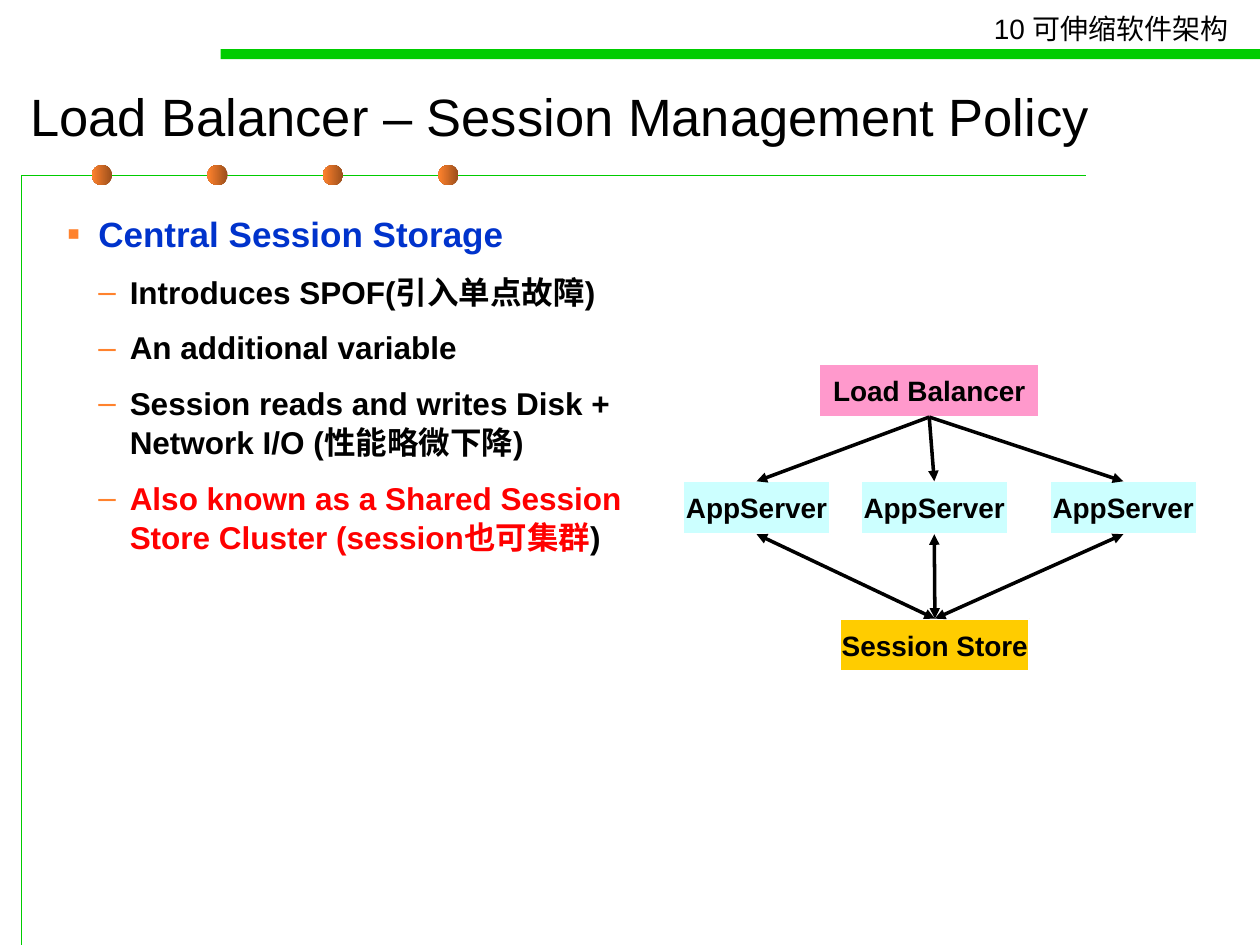
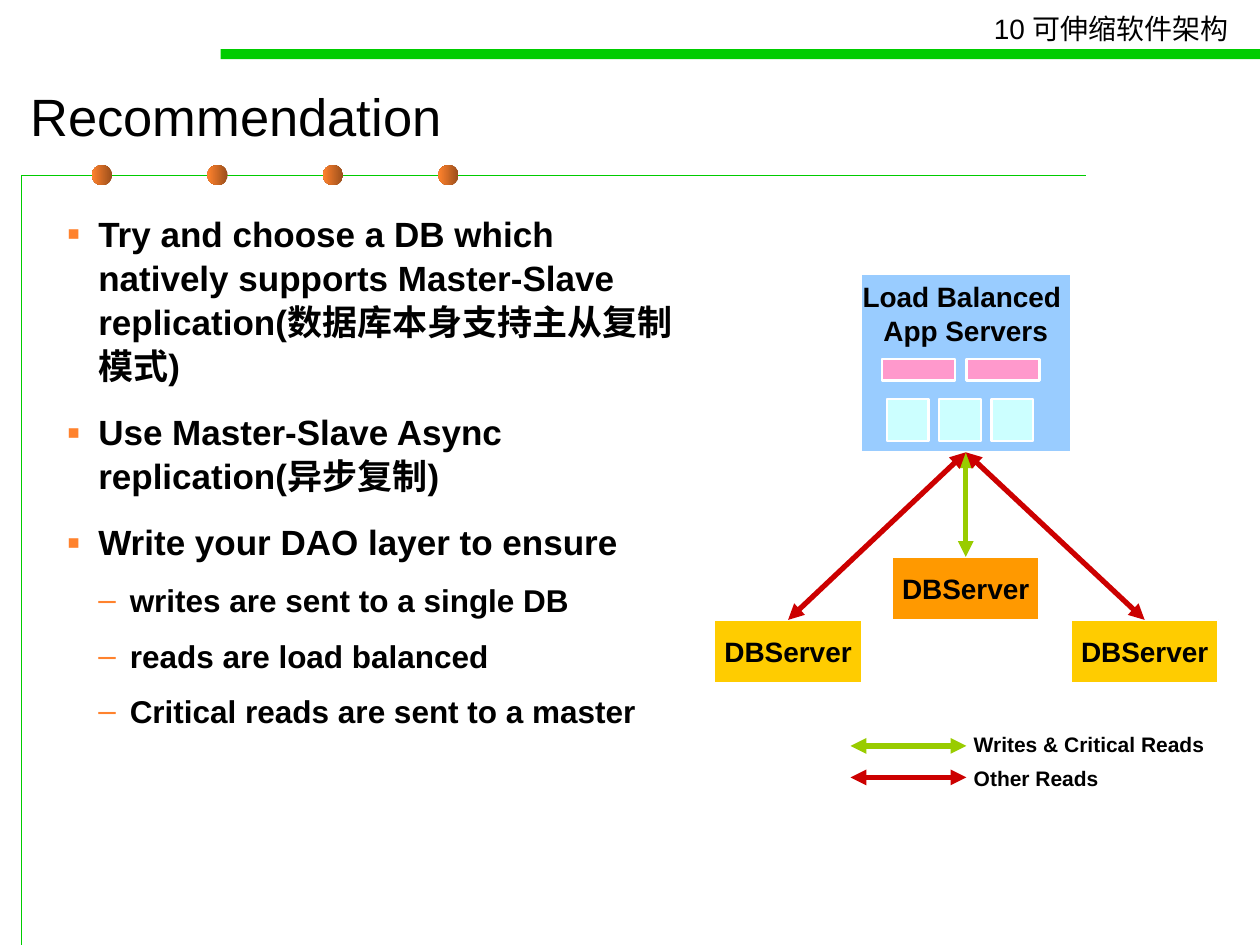
from lxml.etree import SubElement
from pptx import Presentation
from pptx.dml.color import RGBColor
from pptx.enum.shapes import MSO_CONNECTOR, MSO_SHAPE
from pptx.enum.text import MSO_ANCHOR, MSO_AUTO_SIZE, PP_ALIGN
from pptx.oxml.ns import qn
from pptx.util import Inches, Pt

BLACK = RGBColor(0x00, 0x00, 0x00)
WHITE = RGBColor(0xFF, 0xFF, 0xFF)
GREEN = RGBColor(0x00, 0xCC, 0x00)
ORANGE = RGBColor(0xFF, 0x82, 0x2D)
BROWN = RGBColor(0x9A, 0x4E, 0x1B)
BLUE = RGBColor(0x00, 0x33, 0xCC)
RED = RGBColor(0xFF, 0x00, 0x00)
PINK = RGBColor(0xFF, 0x99, 0xCC)
CYAN = RGBColor(0xCC, 0xFF, 0xFF)
SKY = RGBColor(0x99, 0xCC, 0xFF)
YELLOW = RGBColor(0xFF, 0xCC, 0x00)
AMBER = RGBColor(0xFF, 0x99, 0x00)
LIME = RGBColor(0x99, 0xCC, 0x00)
CRIMSON = RGBColor(0xCC, 0x00, 0x00)

TITLE_FONT = {"name": "Arial", "size": Pt(30), "bold": False}
HEADER_FONT = {"name": "Arial", "size": Pt(16), "bold": False}
BOX_FONT = {"name": "Arial", "size": Pt(16), "bold": True}
LEGEND_FONT = {"name": "Arial", "size": Pt(12), "bold": True}
LEVELS = [
    {"font": {"name": "Arial", "size": Pt(20), "bold": True}, "indent": 0.25,
     "bullet": "▪", "bullet_size": "110000",
     "spacing": {"space_before": Pt(8.8), "space_after": Pt(3.7)}},
    {"font": {"name": "Arial", "size": Pt(18), "bold": True}, "indent": 0.5,
     "bullet": "–", "bullet_size": "100000",
     "spacing": {"space_before": Pt(5.6), "space_after": Pt(3.4)}},
]
TOP, BOTTOM = 0, 2


def set_values(target, values):
    for attribute, value in values.items():
        setattr(target, attribute, value)


def place(shape, left, top, width, height):
    set_values(shape, {"left": Inches(left), "top": Inches(top),
                       "width": Inches(width), "height": Inches(height)})


class Deck:
    def __init__(self):
        self.presentation = Presentation()
        set_values(self.presentation, {"slide_width": Inches(10),
                                       "slide_height": Inches(7.5)})
        self.slide = None

    def add_slide(self, title):
        layout = self.presentation.slide_layouts[1]
        self.slide = self.presentation.slides.add_slide(layout)
        self.decorate()
        heading = self.slide.shapes.title
        place(heading, 0.14, 0.56, 9.29, 0.71)
        set_values(heading.text_frame, {"auto_size": MSO_AUTO_SIZE.NONE,
                                        "vertical_anchor": MSO_ANCHOR.MIDDLE})
        self.set_text(heading.text_frame, title, TITLE_FONT, PP_ALIGN.LEFT)

    def set_text(self, frame, text, font, alignment):
        frame.text = text
        for paragraph in frame.paragraphs:
            paragraph.alignment = alignment
            set_values(paragraph.font, font)
            paragraph.font.color.rgb = BLACK

    def decorate(self):
        """Draw the corner line, dots, band and chapter header of every slide."""
        builder = self.slide.shapes.build_freeform(Inches(0.17), Inches(7.5))
        builder.add_line_segments([(Inches(0.17), Inches(1.39)),
                                   (Inches(8.62), Inches(1.39))], close=False)
        corner = builder.convert_to_shape()
        corner.shadow.inherit = False
        corner.fill.background()
        corner.line.color.rgb = GREEN
        corner.line.width = Pt(0.75)
        for index in range(4):
            self.dot(0.73 + index * 2.75 / 3)
        band = self.box(1.75, 0.39, 8.25, 0.08, GREEN)
        band.line.fill.background()
        self.label("10 可伸缩软件架构", 7.79, 0.04, 2.11, 0.37, HEADER_FONT, wrap=False)

    def dot(self, left):
        dot = self.slide.shapes.add_shape(MSO_SHAPE.OVAL, Inches(left), Inches(1.31),
                                          Inches(0.16), Inches(0.16))
        dot.shadow.inherit = False
        dot.line.fill.background()
        dot.fill.gradient()
        dot.fill.gradient_angle = 180
        for stop, color, position in zip(dot.fill.gradient_stops, (BROWN, ORANGE), (0, 1)):
            stop.color.rgb = color
            stop.position = position

    def label(self, text, left, top, width, height, font, wrap=True):
        label = self.slide.shapes.add_textbox(Inches(left), Inches(top),
                                              Inches(width), Inches(height))
        set_values(label.text_frame, {"word_wrap": wrap,
                                      "auto_size": MSO_AUTO_SIZE.SHAPE_TO_FIT_TEXT})
        self.set_text(label.text_frame, text, font, PP_ALIGN.LEFT)

    def box(self, left, top, width, height, color, text="", anchor=MSO_ANCHOR.MIDDLE):
        box = self.slide.shapes.add_shape(MSO_SHAPE.RECTANGLE, Inches(left), Inches(top),
                                          Inches(width), Inches(height))
        box.shadow.inherit = False
        box.fill.solid()
        box.fill.fore_color.rgb = color
        box.line.color.rgb = WHITE
        box.line.width = Pt(1.25)
        if text:
            set_values(box.text_frame, {"word_wrap": False, "vertical_anchor": anchor})
            self.set_text(box.text_frame, text, BOX_FONT, PP_ALIGN.CENTER)
        return box

    def bullets(self, width, items):
        """Fill the body from (level, [(text, color), ...]) items."""
        body = self.slide.placeholders[1]
        place(body, 0.43, 1.62, width, 5.59)
        frame = body.text_frame
        frame.auto_size = MSO_AUTO_SIZE.NONE
        for index, (level, runs) in enumerate(items):
            style = LEVELS[level]
            paragraph = frame.add_paragraph() if index else frame.paragraphs[0]
            paragraph.level = level
            self.add_bullet(paragraph, style)
            set_values(paragraph, style["spacing"])
            paragraph.line_spacing = 1.05
            if index == 0:
                paragraph.space_before = Pt(0)
            for text, color in runs:
                run = paragraph.add_run()
                run.text = text
                set_values(run.font, style["font"])
                run.font.color.rgb = color

    def add_bullet(self, paragraph, style):
        properties = paragraph._p.get_or_add_pPr()
        properties.set("marL", str(Inches(style["indent"])))
        properties.set("indent", str(-Inches(0.25)))
        color = SubElement(properties, qn("a:buClr"))
        SubElement(color, qn("a:srgbClr"), val=str(ORANGE))
        SubElement(properties, qn("a:buSzPct"), val=style["bullet_size"])
        SubElement(properties, qn("a:buFont"), typeface="Arial")
        SubElement(properties, qn("a:buChar"), char=style["bullet"])

    def arrow(self, start, end, color, width, both=True):
        connector = self.slide.shapes.add_connector(
            MSO_CONNECTOR.STRAIGHT, *(Inches(value) for value in (*start, *end)))
        self.style_arrow(connector, color, width, both)

    def link(self, upper, lower, color, width, both=True):
        """Join the bottom of one box to the top of another."""
        connector = self.slide.shapes.add_connector(MSO_CONNECTOR.STRAIGHT, 0, 0, 0, 0)
        connector.begin_connect(upper, BOTTOM)
        connector.end_connect(lower, TOP)
        self.style_arrow(connector, color, width, both)

    def style_arrow(self, connector, color, width, both):
        connector.line.color.rgb = color
        connector.line.width = Pt(width)
        line = connector.line._get_or_add_ln()
        for end in ("a:headEnd", "a:tailEnd") if both else ("a:tailEnd",):
            SubElement(line, qn(end), type="triangle")
        SubElement(connector._element.spPr, qn("a:effectLst"))


def session_slide(deck):
    deck.add_slide("Load Balancer – Session Management Policy")
    deck.bullets(4.65, [
        (0, [("Central Session Storage", BLUE)]),
        (1, [("Introduces SPOF(引入单点故障)", BLACK)]),
        (1, [("An additional variable", BLACK)]),
        (1, [("Session reads and writes Disk + Network I/O (性能略微下降)", BLACK)]),
        (1, [("Also known as a Shared Session Store Cluster (session也可集群", RED),
             (")", BLACK)]),
    ])
    app_servers = [deck.box(left, 3.82, 1.17, 0.42, CYAN, "AppServer")
                   for left in (5.42, 6.83, 8.33)]
    balancer = deck.box(6.5, 2.89, 1.75, 0.42, PINK, "Load Balancer")
    store = deck.box(6.67, 4.91, 1.5, 0.42, YELLOW, "Session Store")
    for server in app_servers:
        deck.link(balancer, server, BLACK, 2, both=False)
        deck.link(server, store, BLACK, 2)


def recommendation_slide(deck):
    deck.add_slide("Recommendation")
    deck.bullets(5.04, [(level, [(text, BLACK)]) for level, text in (
        (0, "Try and choose a DB which natively supports Master-Slave "
            "replication(数据库本身支持主从复制模式)"),
        (0, "Use Master-Slave Async replication(异步复制)"),
        (0, "Write your DAO layer to ensure"),
        (1, "writes are sent to a single DB"),
        (1, "reads are load balanced"),
        (1, "Critical reads are sent to a master"),
    )])
    slaves = [deck.box(left, 4.92, 1.17, 0.5, YELLOW, "DBServer") for left in (5.67, 8.5)]
    master = deck.box(7.08, 4.42, 1.17, 0.5, AMBER, "DBServer")
    cluster = deck.box(6.83, 2.17, 1.67, 1.42, SKY, "Load Balanced \vApp Servers",
                       MSO_ANCHOR.TOP)
    for index in range(3):
        deck.box(7.04 + index * 0.83 / 2, 3.17, 0.33, 0.33, CYAN)
    for left in (7, 7.67):
        deck.box(left, 2.85, 0.58, 0.17, PINK)
    deck.link(cluster, master, LIME, 3)
    for slave in slaves:
        deck.link(cluster, slave, CRIMSON, 3)
    for text, color, arrow_top, label_top in (
            ("Writes & Critical Reads", LIME, 5.92, 5.76),
            ("Other Reads", CRIMSON, 6.17, 6.03)):
        deck.arrow((6.75, arrow_top), (7.67, arrow_top), color, 3)
        deck.label(text, 7.63, label_top, 2.17, 0.3, LEGEND_FONT)


def main():
    deck = Deck()
    session_slide(deck)
    recommendation_slide(deck)
    deck.presentation.save("out.pptx")


if __name__ == "__main__":
    main()
